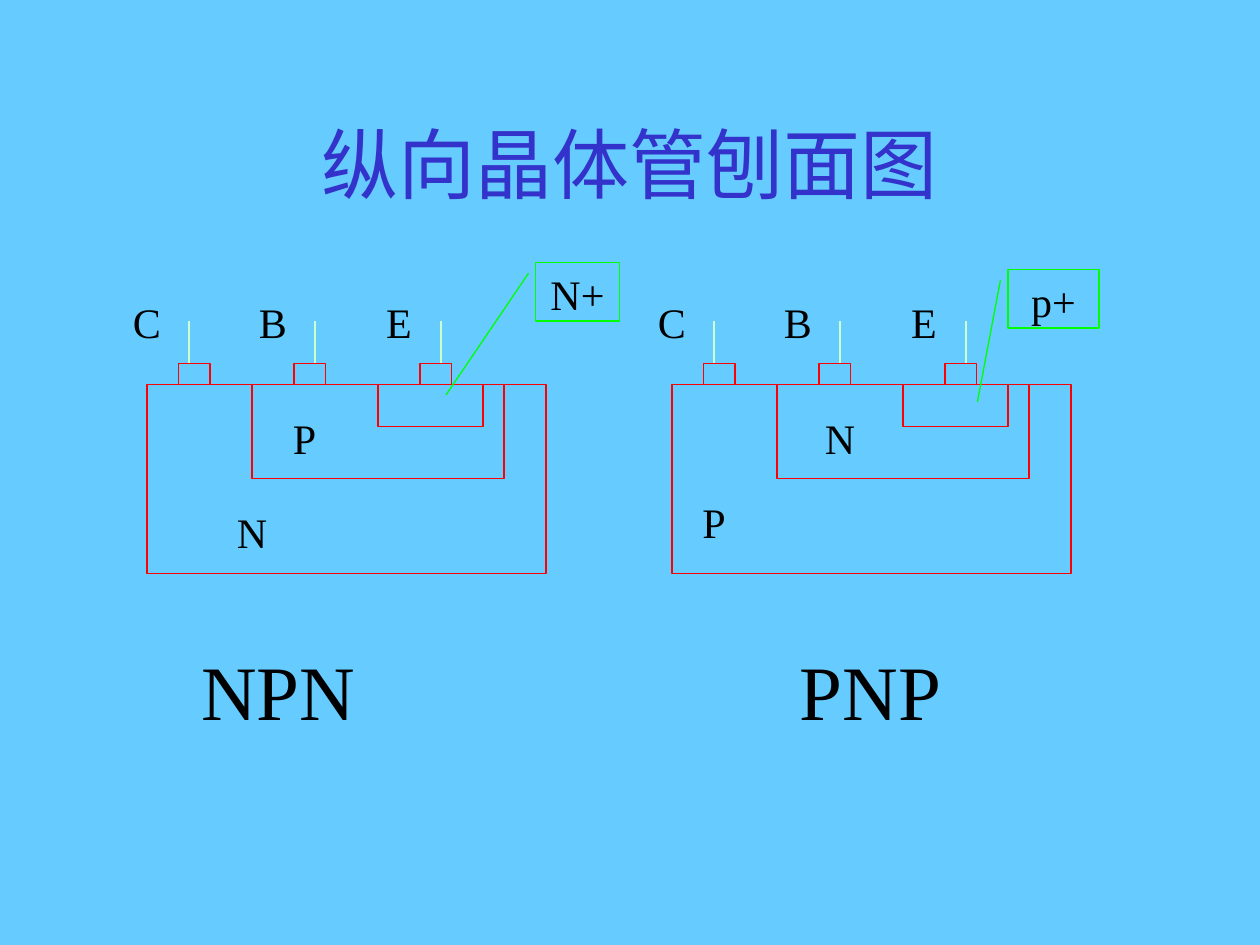
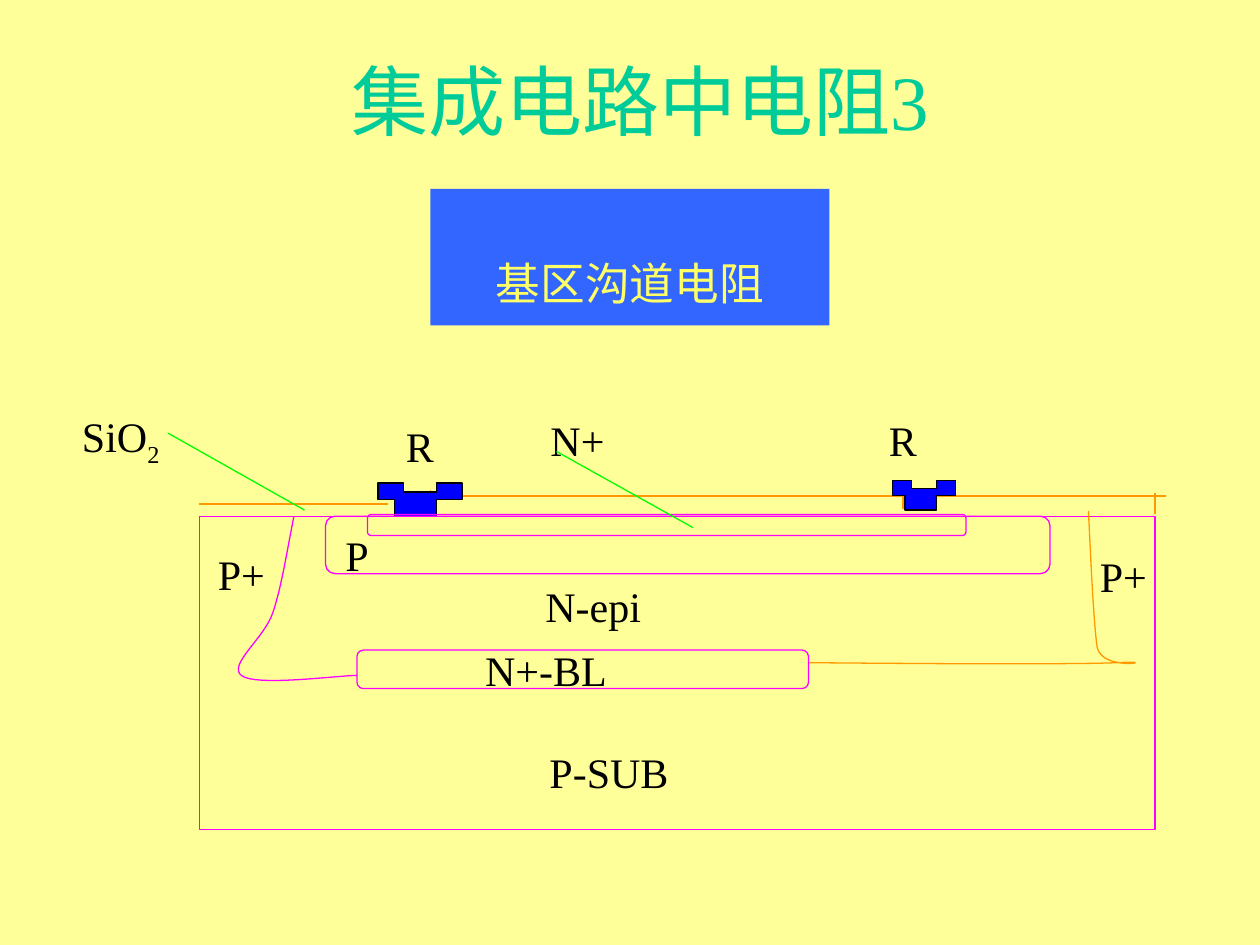
from pptx import Presentation
from pptx.dml.color import RGBColor
from pptx.enum.shapes import MSO_CONNECTOR, MSO_SHAPE
from pptx.enum.text import MSO_ANCHOR, PP_ALIGN
from pptx.oxml.ns import qn
from pptx.util import Pt
from lxml import etree

FONT = "Times New Roman"
SKY, CREAM = RGBColor(0x66, 0xCC, 0xFF), RGBColor(0xFF, 0xFF, 0x99)
INDIGO, TEAL = RGBColor(0x33, 0x33, 0xCC), RGBColor(0, 0xCC, 0x99)
RED, MINT = RGBColor(0xFF, 0, 0), RGBColor(0xCC, 0xFF, 0xCC)
GREEN, ORANGE = RGBColor(0, 0xFF, 0), RGBColor(0xFF, 0x99, 0)
MAGENTA, METAL = RGBColor(0xFF, 0, 0xFF), RGBColor(0, 0, 0xFF)
PANEL, LEMON = RGBColor(0x33, 0x66, 0xFF), RGBColor(0xFF, 0xFF, 0x66)
BLACK = RGBColor(0, 0, 0)

# Slide 1: two transistors; x is measured from the left edge of each body
TOP = 219.6  # silicon surface
TERMINALS = [("C", 18), ("B", 84), ("E", 156)]  # name, contact x
TERMINAL_GAP = 72
REGIONS = [(0, 228, 108), (60, 144, 54), (132, 60, 24)]  # x, width, depth
TRANSISTORS = [
    dict(left=84, name=("NPN", 24, 102), base=("P", 78, 232), collector=("N", 48, 286),
         emitter=("N+", (222, 149.8, 48, 33.6), (0.188, -0.083, 2.258, -1.065))),
    dict(left=384, name=("PNP", 66, 95), base=("N", 84, 232), collector=("P", 12, 280),
         emitter=("p+", (192, 153.9, 52, 33.6), (0.188, -0.083, 2.258, -0.336))),
]

# Slide 2: resistor cross-section
SUBSTRATE = (114, 295, 546, 179)
LAYERS = [(204, 371.5, 258, 22), (186, 295, 414, 32.8), (210, 294, 342, 12)]
ISOLATION = [  # colour, start point, then Bezier segments
    (MAGENTA, (168, 295), [((164, 315), (161, 335), (156, 350)),
                           ((151, 365), (130, 380), (138, 386)),
                           ((146, 392.5), (193, 386), (204, 386))]),
    (ORANGE, (622, 292), [((623.5, 324), (625, 356), (627, 370)),
                          ((630, 384.5), (666, 377), (638.5, 378.7)),
                          ((610.5, 380), (492, 379), (462, 378.7))]),
]
OXIDE = [(114, 288, 222, 288), (228, 280, 228, 295), (246, 280, 246, 295),
         (246, 283.5, 516, 283.5), (516, 283.5, 516, 291), (534, 291, 534, 283.5),
         (534, 283.5, 666, 283.5), (660, 294, 660, 282)]
LEADERS = [(96, 247.5, 174, 291.5), (318, 258, 396, 301.5)]
CONTACTS = [(216, 276, 48, 19), (510, 274.5, 36, 17)]
CONTACT_OUTLINE = [(0, .5), (0, 0), (.3, 0), (.3, .27), (.7, .27), (.7, 0), (1, 0),
                   (1, .5), (.7, .5), (.7, 1), (.2, 1), (.2, .5)]
LABELS = [("SiO", 42, 240, 54, 22), ("R", 228, 243.5, 24, 22), ("N+", 312, 246, 36, 10),
          ("P+", 120, 317, 36, 22), ("P-SUB", 288, 430, 120, 22), ("R", 504, 240, 24, 22),
          ("N+-BL", 270, 371.5, 84, 22), ("N-epi", 300, 335, 78, 22),
          ("P+", 624, 318, 36, 22), ("P", 192, 306, 24, 22)]


def style_run(r, size, color):
    r.font.size, r.font.name = Pt(size), FONT
    r.font.color.rgb = color


def subscript(r):
    r.font._element.set("baseline", "-25000")


def put_text(sp, text, size, color=BLACK, anchor=MSO_ANCHOR.MIDDLE, wrap=False):
    tf = sp.text_frame
    tf.text, tf.word_wrap, tf.vertical_anchor = text, wrap, anchor
    tf.margin_left = tf.margin_right = 0
    p = tf.paragraphs[0]
    p.alignment = PP_ALIGN.CENTER
    style_run(p.runs[0], size, color)
    return p


def add_text(s, text, box, size=24, **kwargs):
    return put_text(s.shapes.add_textbox(*map(Pt, box)), text, size, **kwargs)


def paint(sp, line=None, fill=None):
    sp.shadow.inherit = False
    if fill is None:
        sp.fill.background()
    else:
        sp.fill.solid()
        sp.fill.fore_color.rgb = fill
    if line is None:
        sp.line.fill.background()
    else:
        sp.line.color.rgb, sp.line.width = line, Pt(0.75)


def add_box(s, box, line=None, fill=None, kind=MSO_SHAPE.RECTANGLE):
    sp = s.shapes.add_shape(kind, *map(Pt, box))
    paint(sp, line, fill)
    return sp


def add_line(s, ends, color):
    c = s.shapes.add_connector(MSO_CONNECTOR.STRAIGHT, *map(Pt, ends))
    c.line.color.rgb, c.line.width = color, Pt(0.75)
    etree.SubElement(c._element.spPr, qn("a:effectLst"))


def add_path(s, points, line, fill=None, close=False):
    points = [(Pt(x), Pt(y)) for x, y in points]
    fb = s.shapes.build_freeform(*points[0])
    fb.add_line_segments(points[1:], close=close)
    paint(fb.convert_to_shape(), line, fill)


def curve_points(start, segments, steps=16):
    points = [start]
    for b, c, d in segments:
        a = points[-1]
        for i in range(1, steps + 1):
            t = i / steps
            u = 1 - t
            points.append(tuple(u**3 * a[k] + 3 * u * u * t * b[k]
                                + 3 * u * t * t * c[k] + t**3 * d[k] for k in (0, 1)))
    return points


def new_slide(prs, background, title, color, left, top):
    s = prs.slides.add_slide(prs.slide_layouts[6])
    s.background.fill.solid()
    s.background.fill.fore_color.rgb = background
    add_text(s, title, (left, top, 612, 90), 44, color=color, wrap=True)
    return s


def add_transistor(s, left, name, base, collector, emitter):
    for x, w, depth in REGIONS:
        add_box(s, (left + x, TOP, w, depth), RED)
    for i, (terminal, x) in enumerate(TERMINALS):
        step = i * TERMINAL_GAP
        add_box(s, (left + x, TOP - 12, 18, 12), RED)
        lead = left + 24 + step
        add_line(s, (lead, TOP - 12, lead, TOP - 36), MINT)
        add_text(s, terminal, (left - 12 + step, 165.6, 24, 36))
    for text, x, y in (base, collector):
        add_text(s, text, (left + x, y, 24, 36))
    # Emitter callout
    text, (x, y, w, h), adjustments = emitter
    sp = add_box(s, (left + x, y, w, h), GREEN, kind=MSO_SHAPE.LINE_CALLOUT_1)
    for i, value in enumerate(adjustments):
        sp.adjustments[i] = value
    put_text(sp, text, 24, anchor=MSO_ANCHOR.TOP, wrap=True)
    # Type name
    text, x, w = name
    add_text(s, text, (left + x, 364, w, 60.5), 44, anchor=MSO_ANCHOR.TOP)


def main():
    prs = Presentation()
    prs.slide_width, prs.slide_height = Pt(720), Pt(540)

    s = new_slide(prs, SKY, "纵向晶体管刨面图", INDIGO, 54, 48)
    for transistor in TRANSISTORS:
        add_transistor(s, **transistor)

    s = new_slide(prs, CREAM, "集成电路中电阻3", TEAL, 60, 12)
    panel = add_box(s, (246, 108, 228, 78), fill=PANEL)
    p = put_text(panel, "基区沟道电阻", 44, LEMON)
    subscript(p.runs[0])
    # Silicon, isolation and oxide
    add_box(s, SUBSTRATE, MAGENTA)
    for color, start, segments in ISOLATION:
        add_path(s, curve_points(start, segments), color)
    for ends in OXIDE:
        add_line(s, ends, ORANGE)
    # Metal contacts, then the doped layers
    for x, y, w, h in CONTACTS:
        outline = [(x + w * fx, y + h * fy) for fx, fy in CONTACT_OUTLINE]
        add_path(s, outline, BLACK, METAL, close=True)
    for box in LAYERS:
        add_box(s, box, MAGENTA, kind=MSO_SHAPE.ROUNDED_RECTANGLE)
    # Labels and leaders
    for text, *box in LABELS:
        p = add_text(s, text, box)
        if text == "SiO":
            r = p.add_run()
            r.text = "2"
            style_run(r, 24, BLACK)
            subscript(r)
    for ends in LEADERS:
        add_line(s, ends, GREEN)

    prs.save("out.pptx")


if __name__ == "__main__":
    main()
